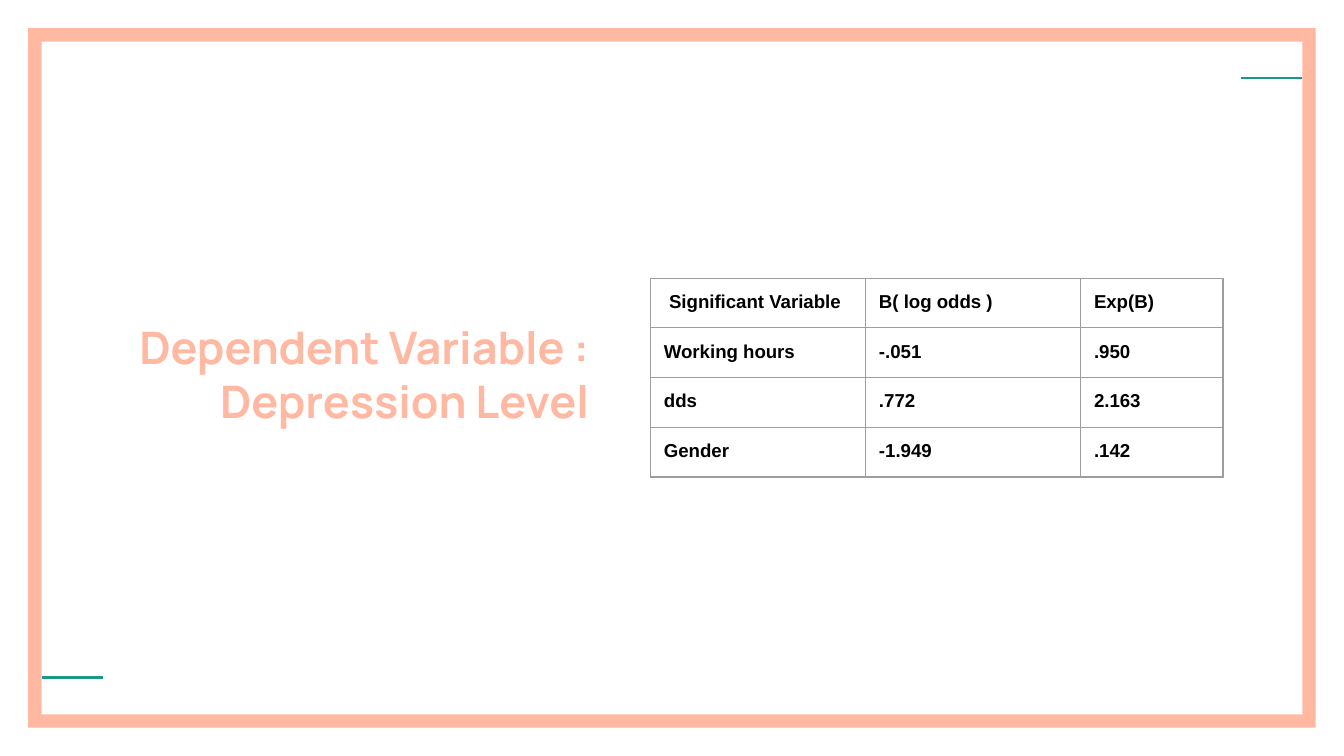
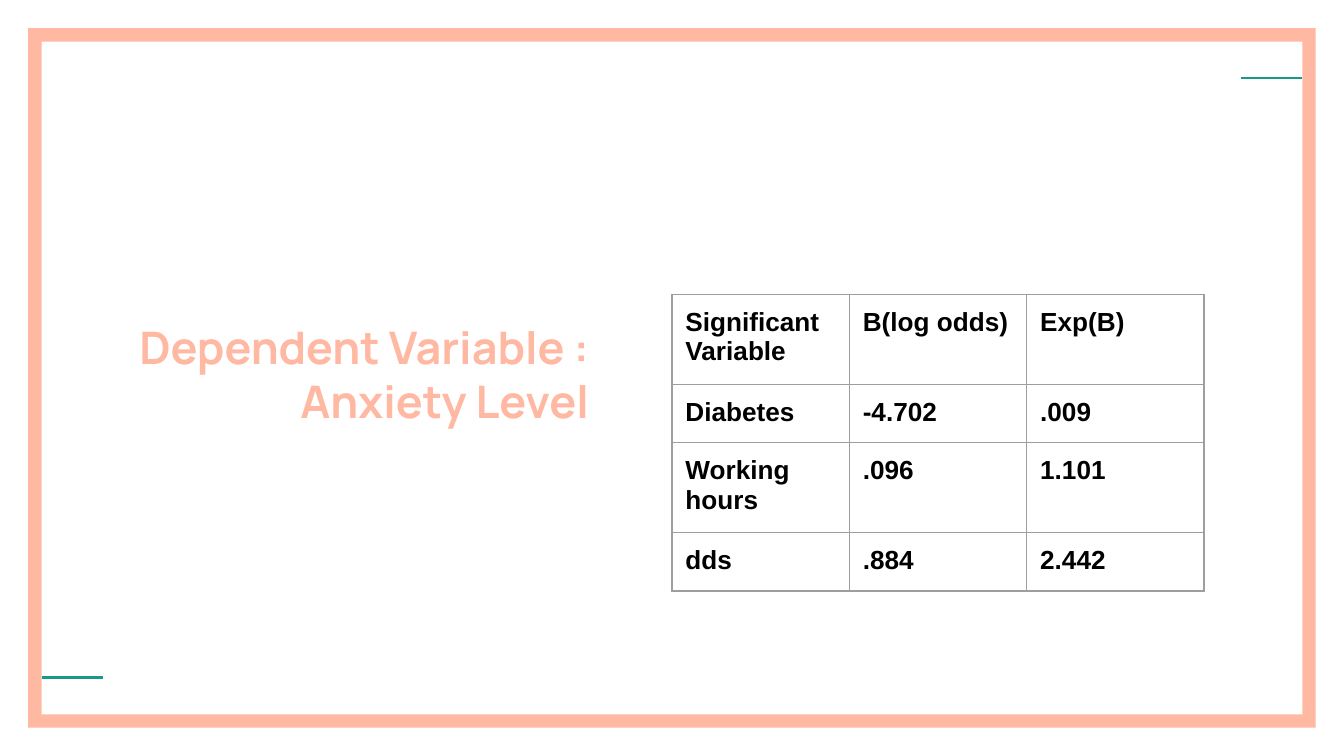
from lxml import etree
from pptx import Presentation, util as u
from pptx.dml.color import RGBColor
from pptx.enum import shapes, text
from pptx.oxml.ns import qn

colours = {"peach": "FFB8A2", "white": "FFFFFF", "teal": "1A9988",
           "black": "000000", "grid": "9E9E9E"}
width = 10
height = width * 9 / 16
margin, band, dash, inset = 0.21, 0.1, 0.46, 0.1
title_format = {"name": "Manrope", "size": u.Pt(24), "bold": True}
insets = {f"margin_{side}": u.Inches(inset) for side in ("left", "right", "top", "bottom")}

results = [
    {"title": "Dependent Variable : Depression Level",
     "corner": (4.84, 2.07), "columns": (1.6, 1.6, 1.06), "rows": (0.37,) * 4, "size": 10,
     "cells": [(" Significant Variable", "B( log odds )", "Exp(B)"),
               ("Working hours", "-.051", ".950"),
               ("dds", ".772", "2.163"),
               ("Gender", "-1.949", ".142")]},
    {"title": "Dependent Variable : Anxiety Level",
     "corner": (5, 2.19), "columns": (1.32,) * 3, "rows": (0.67, 0.43) * 2, "size": 14,
     "cells": [("Significant Variable", "B(log odds)", "Exp(B)"),
               ("Diabetes", "-4.702", ".009"),
               ("Working hours", ".096", "1.101"),
               ("dds", ".884", "2.442")]},
]


def write(frame, words, colour, values):
    span = frame.paragraphs[0].add_run()
    span.text = words
    span.font.color.rgb = RGBColor.from_string(colours[colour])
    for name, value in values.items():
        setattr(span.font, name, value)


def outline(cell):
    properties = cell._tc.get_or_add_tcPr()
    for place, side in enumerate(("lnL", "lnR", "lnT", "lnB")):
        edge = etree.Element(qn(f"a:{side}"), w=str(u.Pt(0.75)))
        fill = etree.SubElement(edge, qn("a:solidFill"))
        etree.SubElement(fill, qn("a:srgbClr"), val=colours["grid"])
        properties.insert(place, edge)


deck = Presentation()
deck.slide_width, deck.slide_height = u.Inches(width), u.Inches(height)

for result in results:
    page = deck.slides.add_slide(deck.slide_layouts[6])

    for edge, colour in ((margin, "peach"), (margin + band, "white")):
        panel = page.shapes.add_shape(
            shapes.MSO_SHAPE.RECTANGLE, u.Inches(edge), u.Inches(edge),
            u.Inches(width - 2 * edge), u.Inches(height - 2 * edge))
        panel.shadow.inherit = False
        panel.fill.solid()
        panel.fill.fore_color.rgb = RGBColor.from_string(colours[colour])
        panel.line.fill.background()

    inner = margin + band
    for left, top in ((inner, 5.04), (width - inner - dash, 0.58)):
        line = page.shapes.add_connector(
            shapes.MSO_CONNECTOR.STRAIGHT, u.Inches(left), u.Inches(top),
            u.Inches(left + dash), u.Inches(top))
        line.line.color.rgb = RGBColor.from_string(colours["teal"])
        line.line.width = u.Pt(1.5)
        etree.SubElement(line._element.spPr, qn("a:effectLst"))

    box = page.shapes.add_textbox(
        u.Inches(inner + dash), u.Inches(1.55), u.Inches(3.71), u.Inches(2.46))
    frame_format = {"word_wrap": True, "vertical_anchor": text.MSO_ANCHOR.MIDDLE, **insets}
    for name, value in frame_format.items():
        setattr(box.text_frame, name, value)
    para = box.text_frame.paragraphs[0]
    para.alignment = text.PP_ALIGN.RIGHT
    write(box.text_frame, result["title"], "peach", title_format)

    left, top = result["corner"]
    table = page.shapes.add_table(
        len(result["rows"]), len(result["columns"]), u.Inches(left), u.Inches(top),
        u.Inches(sum(result["columns"])), u.Inches(sum(result["rows"]))).table
    table.first_row = table.horz_banding = False
    for column, size in zip(table.columns, result["columns"]):
        column.width = u.Inches(size)
    cell_format = {"name": "Arial", "size": u.Pt(result["size"]), "bold": True}
    for row, size, words in zip(table.rows, result["rows"], result["cells"]):
        row.height = u.Inches(size)
        for cell, word in zip(row.cells, words):
            for name, value in insets.items():
                setattr(cell, name, value)
            cell.fill.background()
            outline(cell)
            write(cell.text_frame, word, "black", cell_format)

deck.save("out.pptx")
